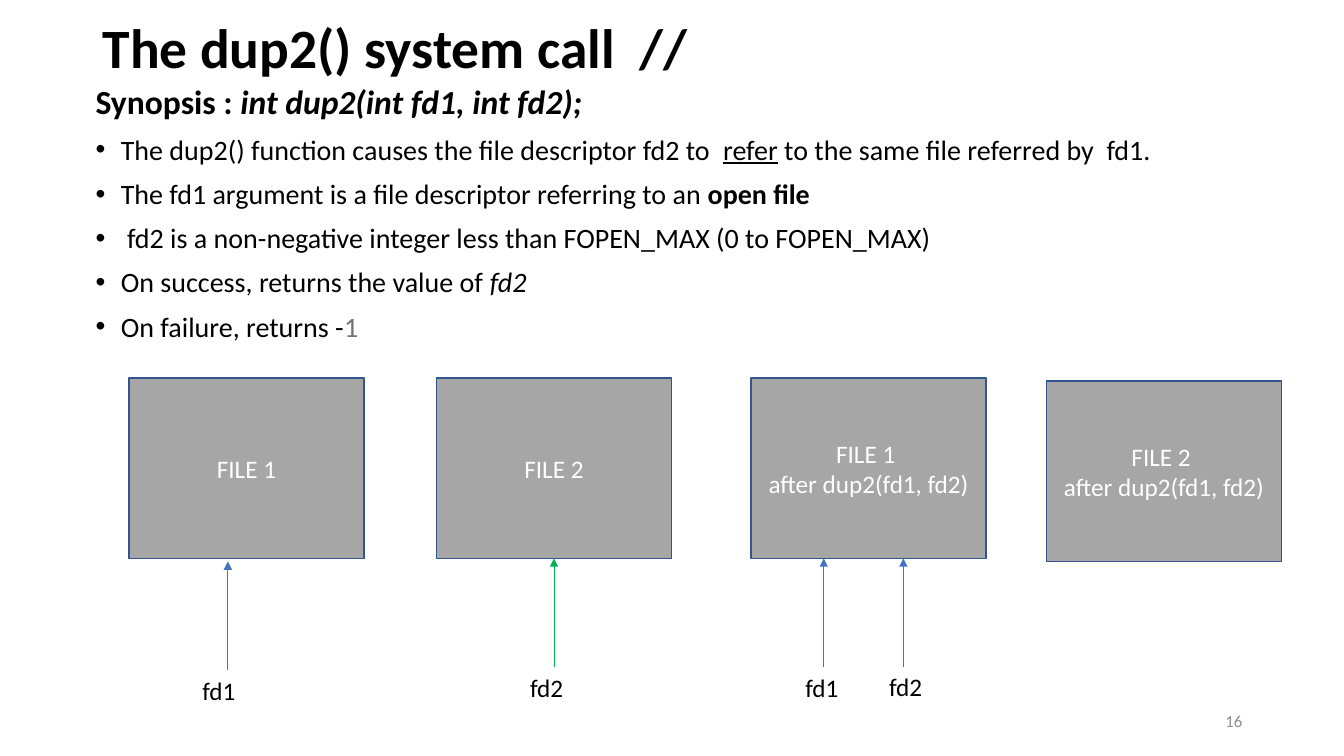
from lxml import etree
from pptx import Presentation
from pptx.dml.color import RGBColor
from pptx.enum.shapes import MSO_CONNECTOR, MSO_SHAPE
from pptx.enum.text import MSO_ANCHOR, PP_ALIGN
from pptx.oxml.ns import qn
from pptx.util import Inches, Pt

RECT = MSO_SHAPE.RECTANGLE
LINE = MSO_CONNECTOR.STRAIGHT
TOP, MIDDLE = MSO_ANCHOR.TOP, MSO_ANCHOR.MIDDLE
LEFT, CENTER, RIGHT = PP_ALIGN.LEFT, PP_ALIGN.CENTER, PP_ALIGN.RIGHT

BLACK = RGBColor(0x00, 0x00, 0x00)
WHITE = RGBColor(0xFF, 0xFF, 0xFF)
GRAY = RGBColor(0xA6, 0xA6, 0xA6)
DIM = RGBColor(0x76, 0x71, 0x71)
PALE = RGBColor(0x8C, 0x8C, 0x8C)
NAVY = RGBColor(0x32, 0x54, 0x91)
BLUE = RGBColor(0x44, 0x72, 0xC4)
GREEN = RGBColor(0x00, 0xB0, 0x50)

FONT = "Calibri"
BOX_W, BOX_H = 2.33, 1.79
BOTTOM = 2

SYNOPSIS = [("Synopsis : ", "b"), ("int dup2(int fd1, int fd2);", "bi")]
POINTS = [
    [("The dup2() function causes the file descriptor fd2 to  ", ""),
     ("refer", "u"), (" to the same file referred by  fd1.", "")],
    [("The fd1 argument is a file descriptor referring to an ", ""),
     ("open file", "b")],
    [(" fd2 is a non-negative integer less than FOPEN_MAX (0 to FOPEN_MAX)", "")],
    [("On success, returns the value of ", ""), ("fd2", "i")],
    [("On failure, returns -", ""), ("1", "d")],
]

AFTER = "after dup2(fd1, fd2)"
FILES = [
    (1.28, 3.75, "FILE 1"),
    (4.33, 3.75, "FILE 2"),
    (7.45, 3.75, "FILE 1 \n" + AFTER),
    (10.38, 3.78, "FILE 2 \n" + AFTER),
]
ARROWS = [(2.26, 5.57, BLUE), (8.17, 5.54, BLUE), (8.96, 5.54, BLUE)]
LABELS = [(1.91, 6.65, "fd1"), (5.16, 6.62, "fd2"),
          (7.89, 6.62, "fd1"), (8.72, 6.61, "fd2")]


def style(run, size, color, marks=""):
    """Format a run; marks hold b, i, u, or d for a dimmed color."""
    font = run.font
    font.name, font.size = FONT, Pt(size)
    font.bold, font.italic = "b" in marks, "i" in marks
    font.underline = "u" in marks
    font.color.rgb = DIM if "d" in marks else color


def fill_text(frame, text, size, color, align=LEFT, anchor=TOP, marks=""):
    """Set the text of a frame and format all of it alike."""
    frame.text = text
    frame.word_wrap = True
    frame.vertical_anchor = anchor
    for para in frame.paragraphs:
        para.alignment = align
        for run in para.runs:
            style(run, size, color, marks)


def add_text(slide, box, *args, **kwargs):
    """Add a text box with uniform text and return its frame."""
    frame = slide.shapes.add_textbox(*map(Inches, box)).text_frame
    fill_text(frame, *args, **kwargs)
    return frame


def add_bullet(para):
    """Give a paragraph a hanging round bullet."""
    props = para._p.get_or_add_pPr()
    props.set("marL", str(Inches(0.25)))
    props.set("indent", str(-Inches(0.25)))
    face = etree.SubElement(props, qn("a:buFont"))
    face.set("typeface", "Arial")
    mark = etree.SubElement(props, qn("a:buChar"))
    mark.set("char", "•")


def add_body(slide, box):
    """Add the synopsis line and the bullet points below it."""
    frame = slide.shapes.add_textbox(*map(Inches, box)).text_frame
    frame.word_wrap = True
    for row, parts in enumerate([SYNOPSIS] + POINTS):
        para = frame.add_paragraph() if row else frame.paragraphs[0]
        para.line_spacing = 0.9
        para.space_before = Pt(10)
        if row:
            add_bullet(para)
        for text, marks in parts:
            run = para.add_run()
            run.text = text
            style(run, 20 if row else 24, BLACK, marks)


def add_file(slide, left, top, text):
    """Add one file box and return it."""
    box = slide.shapes.add_shape(
        RECT, *map(Inches, (left, top, BOX_W, BOX_H)))
    box.shadow.inherit = False
    box.fill.solid()
    box.fill.fore_color.rgb = GRAY
    box.line.color.rgb = NAVY
    box.line.width = Pt(1)
    fill_text(box.text_frame, text, 18, WHITE, CENTER, MIDDLE)
    return box


def add_arrow(slide, x, tip, color):
    """Add an upward arrow whose tip is at the given point."""
    arrow = slide.shapes.add_connector(LINE, x, tip + Inches(1.08), x, tip)
    arrow.line.color.rgb = color
    arrow.line.width = Pt(0.5)
    head = etree.SubElement(arrow.line._get_or_add_ln(), qn("a:tailEnd"))
    head.set("type", "triangle")
    etree.SubElement(arrow._element.spPr, qn("a:effectLst"))
    return arrow


def add_diagram(slide):
    """Add the file boxes with their descriptor arrows and labels."""
    boxes = [add_file(slide, *item) for item in FILES]
    for x, tip, color in ARROWS:
        add_arrow(slide, Inches(x), Inches(tip), color)
    mid = boxes[1]
    arrow = add_arrow(slide, mid.left + mid.width // 2,
                      mid.top + mid.height, GREEN)
    arrow.end_connect(mid, BOTTOM)
    for left, top, text in LABELS:
        add_text(slide, (left, top, 0.84, 0.4), text, 18, BLACK)


def main():
    """Build the slide and save it."""
    deck = Presentation()
    deck.slide_width, deck.slide_height = Inches(13.33), Inches(7.5)
    slide = deck.slides.add_slide(deck.slide_layouts[6])
    title = add_text(slide, (0.92, 0.27, 11.5, 0.47),
                     "The dup2() system call  //", 39.6, BLACK,
                     anchor=MIDDLE, marks="b")
    title.paragraphs[0].line_spacing = 0.9
    add_body(slide, (0.85, 0.8, 11.63, 2.46))
    add_text(slide, (9.42, 6.95, 3, 0.4), "16", 12, PALE, RIGHT, MIDDLE)
    add_diagram(slide)
    deck.save("out.pptx")


if __name__ == "__main__":
    main()
